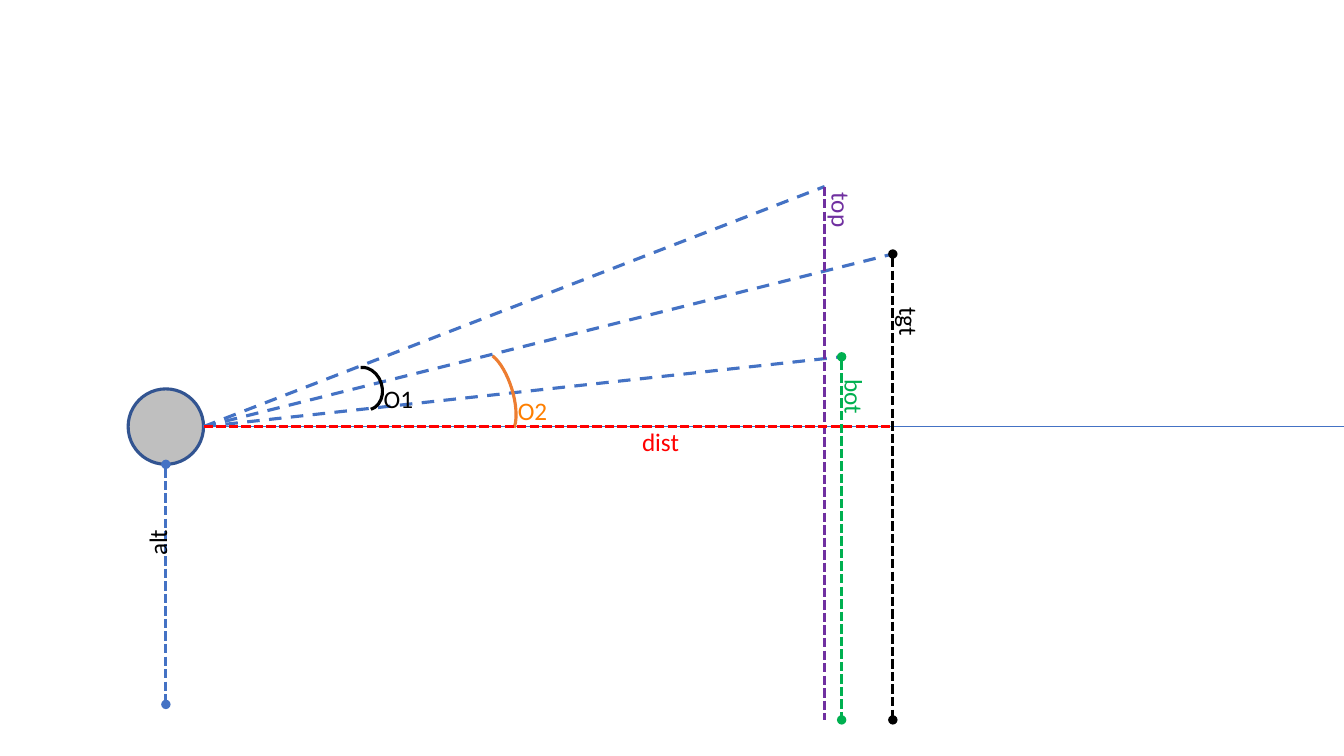
from pptx import Presentation
from pptx.dml.color import RGBColor
from pptx.enum.dml import MSO_LINE
from pptx.enum.shapes import MSO_CONNECTOR, MSO_SHAPE
from pptx.enum.text import MSO_AUTO_SIZE
from pptx.oxml.ns import qn
from pptx.util import Cm, Pt
from lxml.etree import SubElement

BLUE, BLACK, GREEN, PURPLE, RED = "4472C4", "000000", "00B050", "7030A0", "FF0000"
DASH, DOTS = MSO_LINE.DASH, MSO_LINE.SQUARE_DOT


def rgb(value):
    return RGBColor.from_string(value)


class Diagram:
    """Draws the elements of a sight-line diagram on one slide."""

    font, size, weight = "Calibri", Pt(18), 2.25

    def __init__(self, slide):
        self.shapes = slide.shapes

    def stroke(self, line, color, weight):
        line.color.rgb = rgb(color)
        line.width = Pt(weight)

    def line(self, start, end, color, dash=None, weight=weight, dots=False):
        c = self.shapes.add_connector(MSO_CONNECTOR.STRAIGHT, *map(Cm, start + end))
        self.stroke(c.line, color, weight)
        if dash:
            c.line.dash_style = dash
        if dots:
            for tag in ("a:headEnd", "a:tailEnd"):
                SubElement(c.line._get_or_add_ln(), qn(tag), type="oval")
        SubElement(c._element.spPr, qn("a:effectLst"))

    def shape(self, kind, box, color, fill=None):
        sp = self.shapes.add_shape(kind, *map(Cm, box))
        sp.shadow.inherit = False
        self.stroke(sp.line, color, self.weight)
        if fill:
            sp.fill.solid()
            sp.fill.fore_color.rgb = rgb(fill)
        else:
            sp.fill.background()
        return sp

    def arc(self, box, color, start, end):
        sp = self.shape(MSO_SHAPE.ARC, box, color)
        sp.rotation = 72.8
        sp.adjustments[0], sp.adjustments[1] = start, end

    def label(self, text, left, top, width, color=BLACK, rotation=0):
        sp = self.shapes.add_textbox(Cm(left), Cm(top), Cm(width), Cm(1.02))
        sp.rotation = rotation
        tf = sp.text_frame
        tf.word_wrap = True
        tf.auto_size = MSO_AUTO_SIZE.SHAPE_TO_FIT_TEXT
        p = tf.paragraphs[0]
        p.text = text
        p.font.name, p.font.size = self.font, self.size
        p.font.color.rgb = rgb(color)


def main():
    prs = Presentation()
    prs.slide_width, prs.slide_height = Cm(33.87), Cm(19.05)
    d = Diagram(prs.slides.add_slide(prs.slide_layouts[6]))

    eye_x, horizon, ground = 5.13, 10.75, 18.14
    eye = (eye_x, horizon)
    target, top, bottom = (22.5, 6.4), (20.78, 4.7), (21.21, 8.99)

    d.shape(MSO_SHAPE.OVAL, (3.23, 9.8, 1.9, 1.9), "325491", "BFBFBF")
    d.line((4.18, 11.7), (4.18, 17.75), BLUE, DOTS, dots=True)
    d.label("alt", 3.33, 13.11, 1.27, rotation=270)
    for point in (target, top, bottom):
        d.line(eye, point, BLUE, DASH)
    d.label("tgt", 22.28, 7.62, 1.27, rotation=90)
    d.arc((8.64, 9.35, 1.09, 0.89), BLACK, 112.25, 0)
    d.label("O1", 9.42, 9.53, 1.47)
    d.line(eye, (33.87, horizon), BLUE, weight=0.75)
    d.arc((11.43, 9.5, 2.13, 0.84), "ED7D31", 115.35, 209.39)
    d.label("O2", 12.8, 9.83, 1.42, "FE7F00")

    for point, color, dots in ((target, BLACK, True), (bottom, GREEN, True),
                               (top, PURPLE, False)):
        d.line(point, (point[0], ground), color, DOTS, dots=dots)
    d.label("bot", 20.8, 9.53, 1.47, GREEN, 90)
    d.label("top", 20.47, 4.83, 1.47, PURPLE, 90)
    d.line(eye, (target[0], horizon), RED, DOTS)
    d.label("dist", 15.93, 10.62, 1.73, RED)

    prs.save("out.pptx")


if __name__ == "__main__":
    main()
